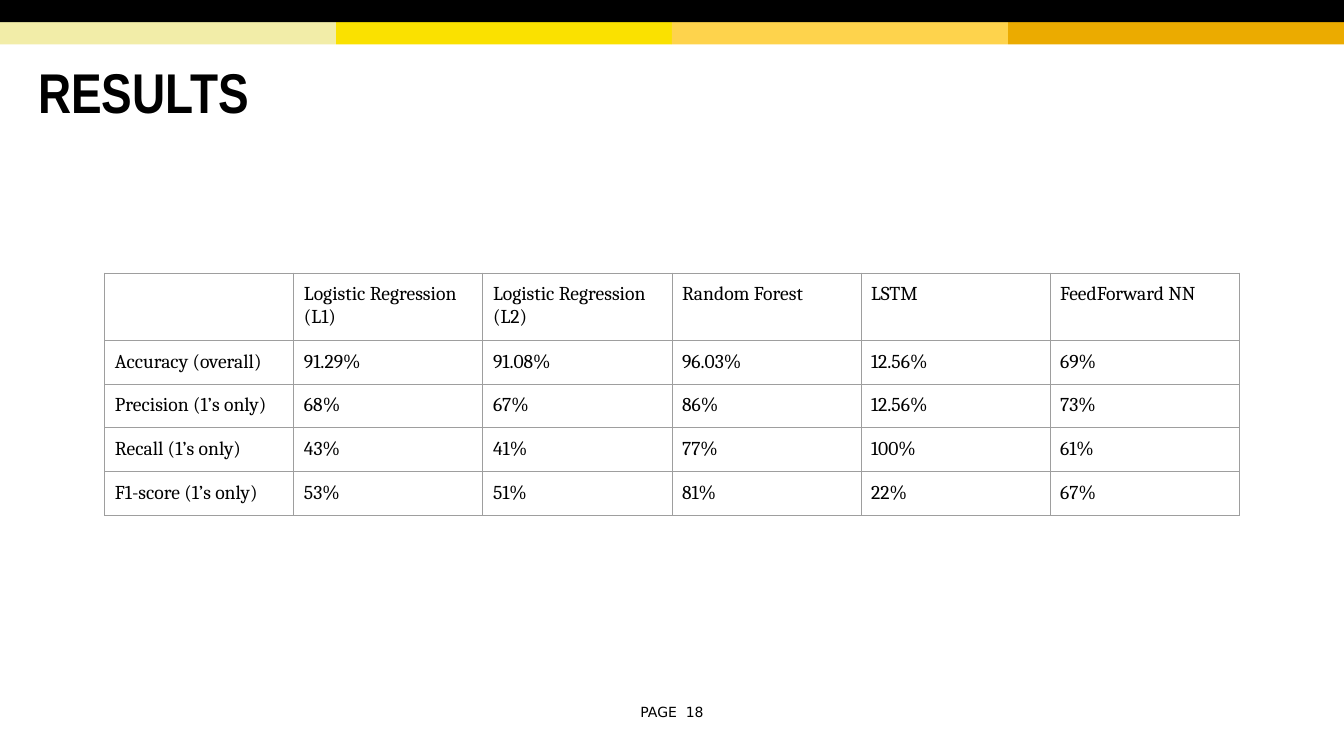
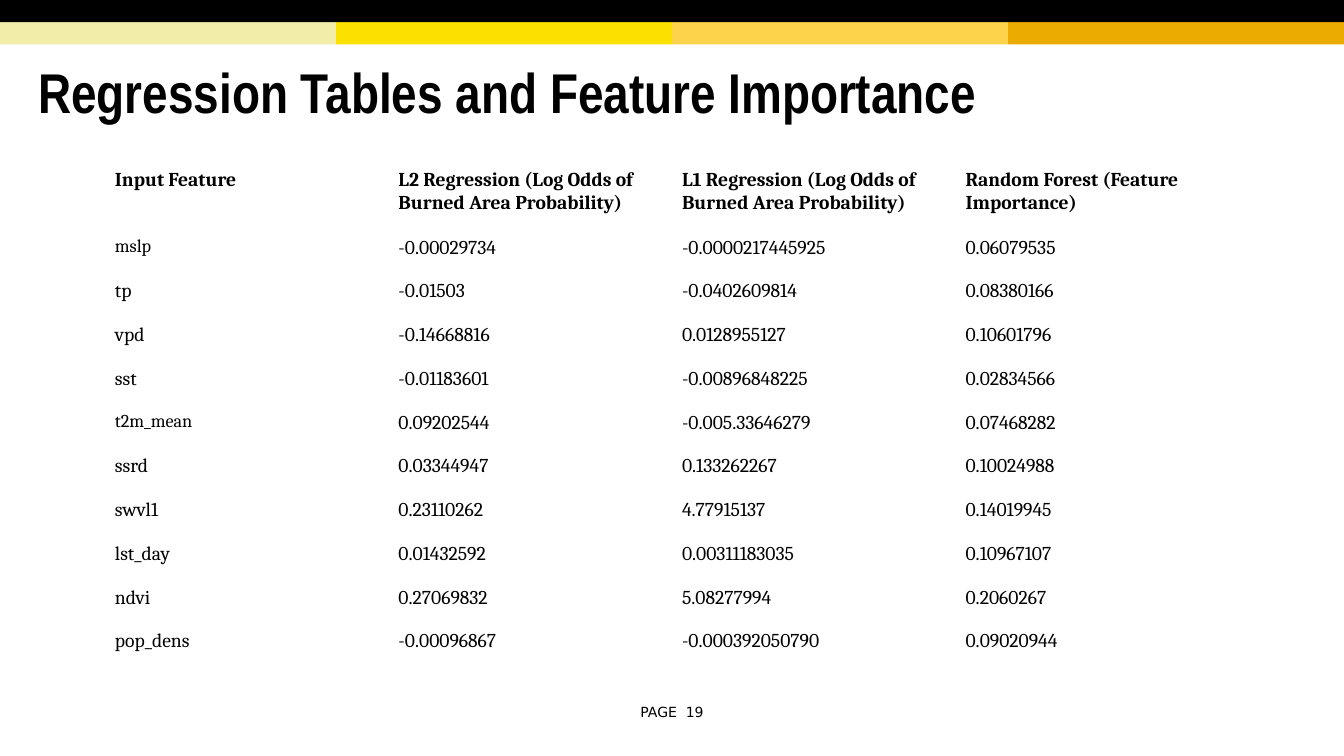
from lxml import etree
from pptx import Presentation
from pptx.dml.color import RGBColor
from pptx.enum.shapes import MSO_SHAPE
from pptx.enum.text import MSO_ANCHOR, MSO_AUTO_SIZE, PP_ALIGN
from pptx.oxml.ns import qn
from pptx.util import Inches, Pt

RECT = MSO_SHAPE.RECTANGLE
MIDDLE = MSO_ANCHOR.MIDDLE
NO_FIT = MSO_AUTO_SIZE.NONE
LEFT, CENTER = PP_ALIGN.LEFT, PP_ALIGN.CENTER

# Shared look
COLORS = {
    "black": "000000",
    "cream": "F2EDA8",
    "yellow": "FAE100",
    "gold": "FED34C",
    "amber": "EBAB00",
    "grid": "9E9E9E",
}
BAND_COLORS = ["cream", "yellow", "gold", "amber"]
TITLE_FONT, TABLE_FONT, FOOTER_FONT = "Arial Narrow", "Cambria", "DejaVu Sans"
SLIDE_W, SLIDE_H = 13.33, 7.5
BAND_H = 0.22
TABLE_X, TABLE_W = 1.04, 11.25
HEADER_H, ROW_H = 0.64, 0.42

# Content
SLIDES = [
    {
        "title": "RESULTS",
        "page": "PAGE  18",
        "top": 2.71,
        "grid": True,
        "bold_header": False,
        "small": [],
        "rows": [
            ("", "Logistic Regression (L1)", "Logistic Regression (L2)",
             "Random Forest", "LSTM", "FeedForward NN"),
            ("Accuracy (overall)", "91.29%", "91.08%", "96.03%", "12.56%", "69%"),
            ("Precision (1’s only)", "68%", "67%", "86%", "12.56%", "73%"),
            ("Recall (1’s only)", "43%", "41%", "77%", "100%", "61%"),
            ("F1-score (1’s only)", "53%", "51%", "81%", "22%", "67%"),
        ],
    },
    {
        "title": "Regression Tables and Feature Importance",
        "page": "PAGE  19",
        "top": 1.58,
        "grid": False,
        "bold_header": True,
        "small": ["mslp", "t2m_mean"],
        "rows": [
            ("Input Feature",
             "L2 Regression (Log Odds of Burned Area Probability)",
             "L1 Regression (Log Odds of Burned Area Probability)",
             "Random Forest (Feature Importance)"),
            ("mslp", "-0.00029734", "-0.0000217445925", "0.06079535"),
            ("tp", "-0.01503", "-0.0402609814", "0.08380166"),
            ("vpd", "-0.14668816", "0.0128955127", "0.10601796"),
            ("sst", "-0.01183601", "-0.00896848225", "0.02834566"),
            ("t2m_mean", "0.09202544", "-0.005.33646279", "0.07468282"),
            ("ssrd", "0.03344947", "0.133262267", "0.10024988"),
            ("swvl1", "0.23110262", "4.77915137", "0.14019945"),
            ("lst_day", "0.01432592", "0.00311183035", "0.10967107"),
            ("ndvi", "0.27069832", "5.08277994", "0.2060267"),
            ("pop_dens", "-0.00096867", "-0.000392050790", "0.09020944"),
        ],
    },
]


def write(tf, text, font=TABLE_FONT, size=14, bold=False, align=LEFT, spacing=None):
    tf.word_wrap = True
    p = tf.paragraphs[0]
    p.alignment = align
    p.line_spacing = spacing
    r = p.add_run()
    r.text = text
    r.font.name, r.font.size, r.font.bold = font, Pt(size), bold
    r.font.color.rgb = RGBColor.from_string(COLORS["black"])


def add_band(slide, x, y, w, color):
    sp = slide.shapes.add_shape(RECT, Inches(x), Inches(y), Inches(w), Inches(BAND_H))
    sp.shadow.inherit = False
    sp.fill.solid()
    sp.fill.fore_color.rgb = RGBColor.from_string(COLORS[color])
    sp.line.fill.background()


def add_frame(slide, title, page):
    # Top bands
    step = SLIDE_W / len(BAND_COLORS)
    for i, color in enumerate(BAND_COLORS):
        add_band(slide, i * step, BAND_H, step, color)
    add_band(slide, 0, 0, SLIDE_W, "black")

    # Title
    sp = slide.shapes.title
    sp.left, sp.top = Inches(0.28), Inches(0.47)
    sp.width, sp.height = Inches(12.65), Inches(0.98)
    tf = sp.text_frame
    tf.auto_size, tf.vertical_anchor = NO_FIT, MIDDLE
    write(tf, title, font=TITLE_FONT, size=40, bold=True, spacing=0.85)

    # Page number
    sp = slide.shapes.add_textbox(Inches(6.11), Inches(6.93), Inches(1.11), Inches(0.27))
    sp.text_frame.vertical_anchor = MIDDLE
    write(sp.text_frame, page, font=FOOTER_FONT, size=10, align=CENTER)


def add_borders(cell):
    tc_pr = cell._tc.get_or_add_tcPr()
    for side in ("a:lnL", "a:lnR", "a:lnT", "a:lnB"):
        ln = etree.SubElement(tc_pr, qn(side), w=str(Pt(0.75)))
        fill = etree.SubElement(ln, qn("a:solidFill"))
        etree.SubElement(fill, qn("a:srgbClr"), val=COLORS["grid"])


def add_data_table(slide, rows, top, grid, bold_header, small):
    n_cols = len(rows[0])
    height = HEADER_H + ROW_H * (len(rows) - 1)
    table = slide.shapes.add_table(len(rows), n_cols, Inches(TABLE_X), Inches(top),
                                   Inches(TABLE_W), Inches(height)).table
    table.first_row = table.horz_banding = False
    for col in table.columns:
        col.width = Inches(TABLE_W / n_cols)
    for i, row in enumerate(rows):
        table.rows[i].height = Inches(ROW_H if i else HEADER_H)
        for j, text in enumerate(row):
            cell = table.cell(i, j)
            cell.margin_left = cell.margin_right = Inches(0.1)
            cell.margin_top = cell.margin_bottom = Inches(0.1)
            if grid:
                add_borders(cell)
            cell.fill.background()
            if text:
                write(cell.text_frame, text, size=13 if text in small else 14,
                      bold=bold_header and i == 0)


def main():
    prs = Presentation()
    prs.slide_width, prs.slide_height = Inches(SLIDE_W), Inches(SLIDE_H)
    title_only = prs.slide_layouts[5]
    for item in SLIDES:
        slide = prs.slides.add_slide(title_only)
        add_frame(slide, item["title"], item["page"])
        add_data_table(slide, item["rows"], item["top"], item["grid"],
                       item["bold_header"], item["small"])
    prs.save("out.pptx")


if __name__ == "__main__":
    main()
